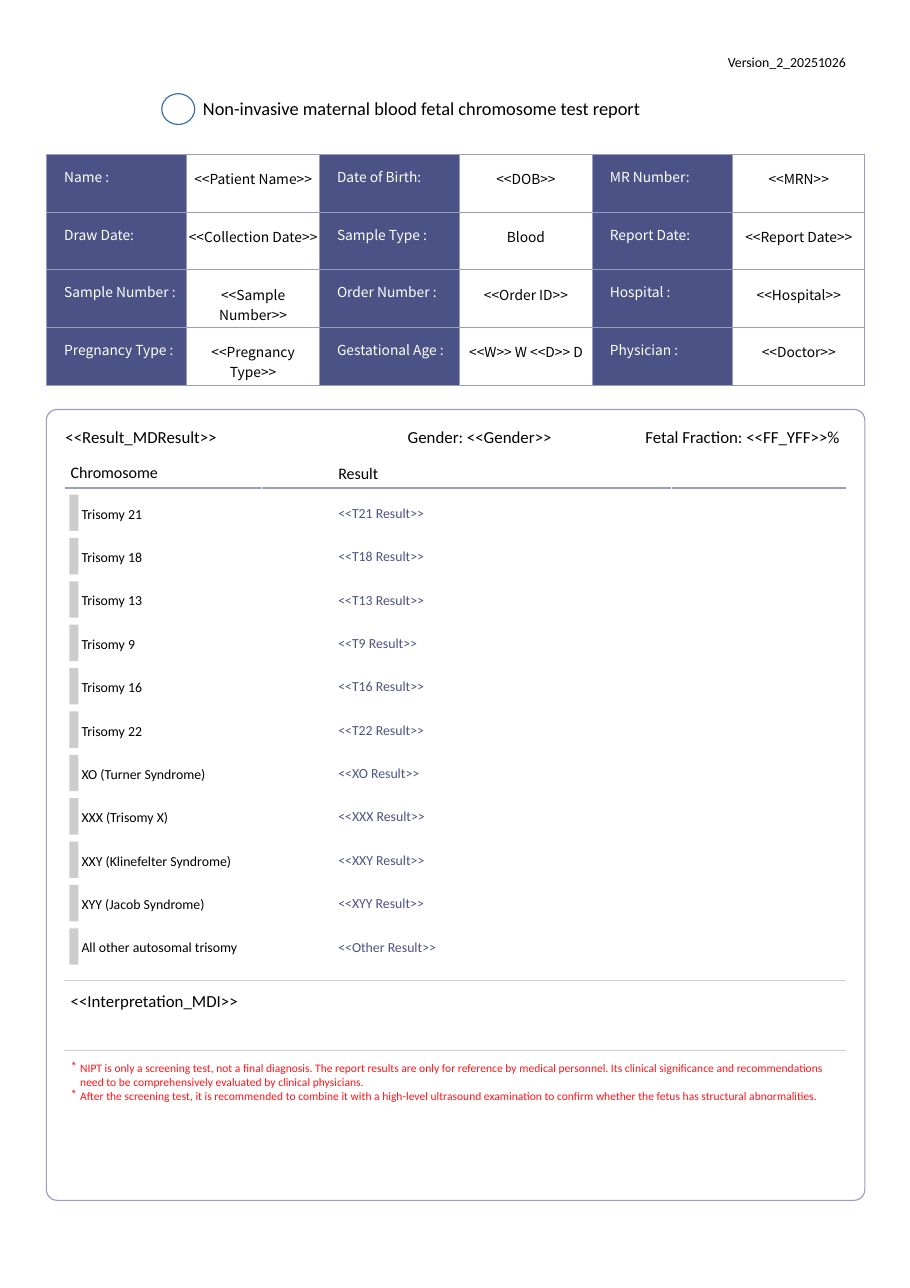
from lxml import etree
from pptx import Presentation
from pptx import util as u
from pptx.dml import color
from pptx.enum import shapes, text
from pptx.oxml import ns

NAVY, LILAC, GREY, RED = "4B5285", "999DC0", "CECECE", "FF1317"
BLACK, WHITE = "000000", "FFFFFF"


def rgb(value):
    return color.RGBColor.from_string(value)


def add_element(parent, tag, **attributes):
    element = etree.SubElement(parent, ns.qn(tag))
    for name, value in attributes.items():
        element.set(name, str(value))
    return element


class Report:
    font = "Calibri"
    table_font = "Noto Sans CJK SC"
    line_width = u.Pt(0.75)

    def __init__(self, presentation):
        self.slide = presentation.slides.add_slide(presentation.slide_layouts[5])

    def format_runs(self, paragraph, size, ink, font=None):
        for run in paragraph.runs:
            run.font.size = u.Pt(size)
            run.font.name = font or self.font
            run.font.color.rgb = rgb(ink)

    def set_margins(self, target, top, left=0):
        target.margin_left = u.Cm(left)
        target.margin_top = u.Cm(top)
        target.margin_right = target.margin_bottom = 0

    def set_words(self, shape, words, size, ink, top):
        frame = shape.text_frame
        frame.text = words
        frame.word_wrap = True
        frame.auto_size = text.MSO_AUTO_SIZE.SHAPE_TO_FIT_TEXT
        frame.vertical_anchor = text.MSO_ANCHOR.TOP
        self.set_margins(frame, top)
        for paragraph in frame.paragraphs:
            paragraph.alignment = text.PP_ALIGN.LEFT
            self.format_runs(paragraph, size, ink)

    def title(self, words, x, y, width, height, size):
        shape = self.slide.shapes.title
        shape.left, shape.top = u.Cm(x), u.Cm(y)
        shape.width, shape.height = u.Cm(width), u.Cm(height)
        self.set_words(shape, words, size, BLACK, 0.05)

    def label(self, words, x, y, width, height, size, ink=BLACK, top=0.05):
        box = self.slide.shapes.add_textbox(u.Cm(x), u.Cm(y), u.Cm(width), u.Cm(height))
        self.set_words(box, words, size, ink, top)
        return box

    def notes(self, lines, x, y, width, height):
        box = self.label("\n".join(lines), x, y, width, height, 7.5, RED, 0.1)
        for paragraph in box.text_frame.paragraphs:
            properties = paragraph._p.get_or_add_pPr()
            properties.set("marL", str(u.Cm(0.25)))
            properties.set("indent", str(u.Cm(-0.2)))
            bullet_color = add_element(properties, "a:buClr")
            add_element(bullet_color, "a:srgbClr", val=RED)
            add_element(properties, "a:buChar", char="*")

    def shape(self, kind, x, y, width, height, fill=None, line=None):
        shape = self.slide.shapes.add_shape(
            kind, u.Cm(x), u.Cm(y), u.Cm(width), u.Cm(height))
        shape.shadow.inherit = False
        if fill:
            shape.fill.solid()
            shape.fill.fore_color.rgb = rgb(fill)
        else:
            shape.fill.background()
        if line:
            shape.line.color.rgb = rgb(line)
            shape.line.width = self.line_width
        else:
            shape.line.fill.background()
        return shape

    def rule(self, start, end, y, ink):
        connector = self.slide.shapes.add_connector(
            shapes.MSO_CONNECTOR.STRAIGHT, u.Cm(start), u.Cm(y), u.Cm(end), u.Cm(y))
        connector.line.color.rgb = rgb(ink)
        connector.line.width = self.line_width
        add_element(connector._element.spPr, "a:effectLst")

    def table(self, rows, x, y, widths, row_height):
        frame = self.slide.shapes.add_table(
            len(rows), len(widths), u.Cm(x), u.Cm(y),
            u.Cm(sum(widths)), u.Cm(row_height * len(rows)))
        table = frame.table
        table.first_row = table.horz_banding = False
        for column, width in zip(table.columns, widths):
            column.width = u.Cm(width)
        for r, row in enumerate(rows):
            table.rows[r].height = u.Cm(row_height)
            for c, words in enumerate(row):
                self.fill_cell(table.cell(r, c), words, is_label=c % 2 == 0)

    def fill_cell(self, cell, words, is_label):
        cell.text_frame.text = words
        paragraph = cell.text_frame.paragraphs[0]
        properties = cell._tc.get_or_add_tcPr()
        for side in ("a:lnL", "a:lnR", "a:lnT", "a:lnB"):
            border = add_element(properties, side, w=self.line_width)
            add_element(add_element(border, "a:solidFill"), "a:srgbClr", val=LILAC)
        if is_label:
            self.set_margins(cell, 0.28, left=0.41)
            cell.fill.solid()
            cell.fill.fore_color.rgb = rgb(NAVY)
        else:
            self.set_margins(cell, 0.33)
            cell.fill.background()
            paragraph.alignment = text.PP_ALIGN.CENTER
        self.format_runs(paragraph, 9, WHITE if is_label else BLACK, self.table_font)


PATIENT_ROWS = [
    ["Name :", "<<Patient Name>>", "Date of Birth:", "<<DOB>>", "MR Number:", "<<MRN>>"],
    ["Draw Date:", "<<Collection Date>>", "Sample Type :", "Blood",
     "Report Date:", "<<Report Date>>"],
    ["Sample Number :", "<<Sample Number>>", "Order Number :", "<<Order ID>>",
     "Hospital :", "<<Hospital>>"],
    ["Pregnancy Type :", "<<Pregnancy Type>>", "Gestational Age :", "<<W>> W <<D>> D",
     "Physician :", "<<Doctor>>"],
]
CHROMOSOMES = [
    ("Trisomy 21", "T21"), ("Trisomy 18", "T18"), ("Trisomy 13", "T13"),
    ("Trisomy 9", "T9"), ("Trisomy 16", "T16"), ("Trisomy 22", "T22"),
    ("XO (Turner Syndrome)", "XO"), ("XXX (Trisomy X)", "XXX"),
    ("XXY (Klinefelter Syndrome)", "XXY"), ("XYY (Jacob Syndrome)", "XYY"),
    ("All other autosomal trisomy", "Other"),
]
NOTES = [
    "NIPT is only a screening test, not a final diagnosis. The report results are only "
    "for reference by medical personnel. Its clinical significance and recommendations "
    "need to be comprehensively evaluated by clinical physicians.",
    "After the screening test, it is recommended to combine it with a high-level "
    "ultrasound examination to confirm whether the fetus has structural abnormalities.",
]


def main():
    presentation = Presentation()
    presentation.slide_width, presentation.slide_height = u.Cm(20.98), u.Cm(29.69)
    report = Report(presentation)
    kinds = shapes.MSO_SHAPE

    # Header
    report.label("Version_2_20251026", 16.78, 1.19, 3.3, 0.43, 9)
    report.title("Non-invasive maternal blood fetal chromosome test report",
                 4.68, 2.18, 13.71, 0.56, 12)
    report.shape(kinds.OVAL, 3.73, 2.16, 0.76, 0.71, line="2C6BAA")

    # Patient details
    report.table(PATIENT_ROWS, 1.07, 3.56, [3.24, 3.05] * 3, 1.33)

    # Result panel and its summary line
    panel = report.shape(kinds.ROUNDED_RECTANGLE, 1.07, 9.44, 18.87, 18.23, line=LILAC)
    panel.adjustments[0] = 0.25 / 18.23
    for words, x, width in [("<<Result_MDResult>>", 1.51, 5.6),
                            ("Gender: <<Gender>>", 9.4, 4.5),
                            ("Fetal Fraction: <<FF_YFF>>%", 14.88, 5.4)]:
        report.label(words, x, 9.78, width, 0.51, 11)

    # Chromosome results
    report.label("Chromosome", 1.63, 10.62, 3, 0.48, 10.5, top=0.03)
    report.label("Result", 7.8, 10.65, 1.7, 0.48, 10.5, top=0.03)
    for start, end in [(1.49, 6.02), (6.05, 15.47), (15.5, 19.5)]:
        report.rule(start, end, 11.25, LILAC)
    for row, (name, code) in enumerate(CHROMOSOMES):
        y = 11.4 + row
        report.shape(kinds.RECTANGLE, 1.6, y, 0.21, 0.84, fill="CCCCCC")
        report.label(name, 1.88, y + 0.2, 5.7, 0.43, 9)
        report.label(f"<<{code} Result>>", 7.8, y + 0.2, 3, 0.43, 9, NAVY, 0.03)

    # Interpretation and notes
    for y in (22.6, 24.22):
        report.rule(1.48, 19.5, y, GREY)
    report.label("<<Interpretation_MDI>>", 1.63, 22.73, 17.7, 0.58, 11, top=0.1)
    report.notes(NOTES, 1.6, 24.36, 17.88, 1.07)

    presentation.save("out.pptx")


if __name__ == "__main__":
    main()
